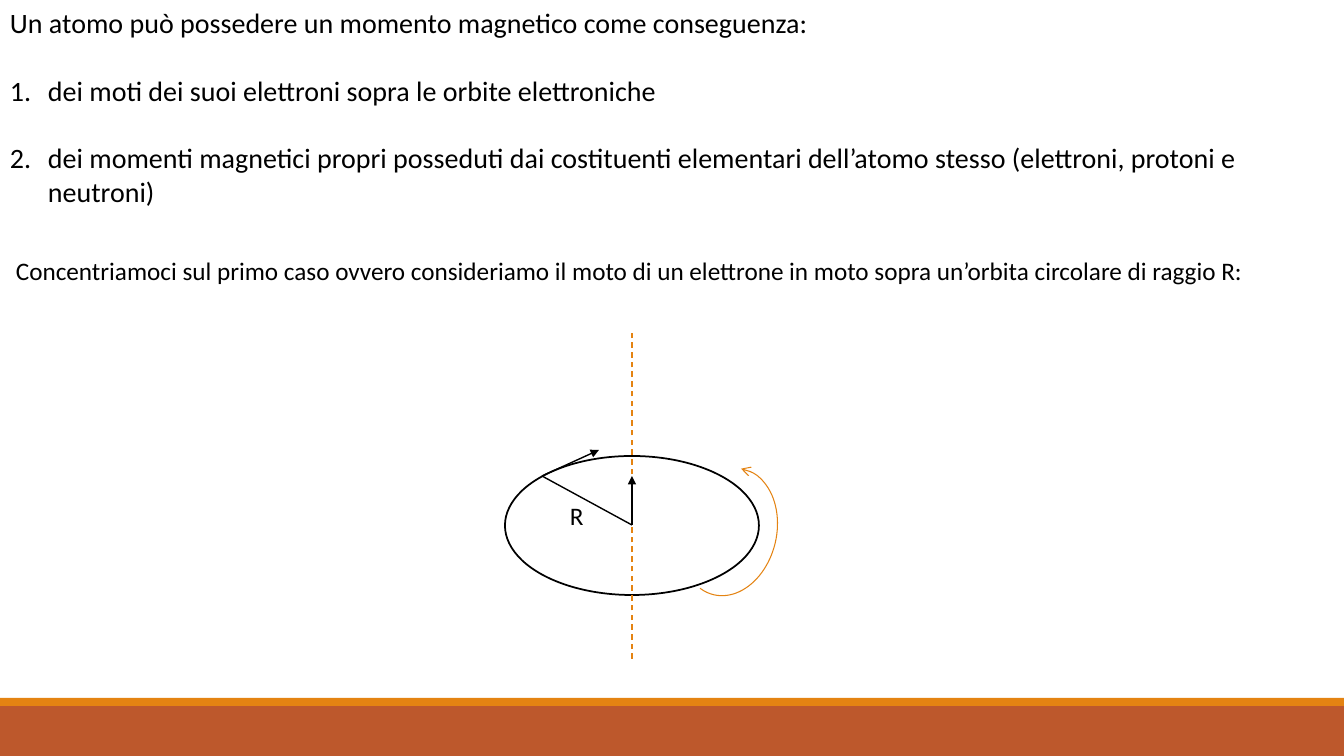
from dataclasses import dataclass

from lxml.etree import SubElement
from pptx import Presentation
from pptx.dml.color import RGBColor
from pptx.enum.dml import MSO_LINE
from pptx.enum.shapes import MSO_CONNECTOR, MSO_SHAPE as Preset
from pptx.enum.text import MSO_AUTO_SIZE
from pptx.oxml.ns import qn
from pptx.shapes.autoshape import Shape
from pptx.shapes.shapetree import GroupShapes, SlideShapes
from pptx.text.text import _Paragraph as Paragraph
from pptx.util import Emu, Pt

EMU_PER_INCH = 914400
PX_PER_INCH = 100.8
BLACK = "000000"
ORANGE = "E48312"
RUST = "BD582C"


@dataclass(frozen=True)
class Bar:
    top: int
    height: int
    color: str


@dataclass(frozen=True)
class Line:
    start: tuple[int, int]
    end: tuple[int, int]
    color: str = BLACK
    dashed: bool = False
    arrow: bool = False


@dataclass(frozen=True)
class TextLine:
    text: str
    numbered: bool = False


@dataclass(frozen=True)
class TextBox:
    left: int
    top: int
    width: int
    height: int
    size: int
    lines: tuple[TextLine, ...]
    wrap: bool = False


CENTER = (632, 525)
ELECTRON = (542, 476)

BARS = (Bar(706, 50, RUST), Bar(698, 8, ORANGE))

LINES = (
    Line((632, 659), (632, 331), ORANGE, dashed=True),
    Line(CENTER, ELECTRON),
    Line(CENTER, (632, 476), arrow=True),
    Line(ELECTRON, (599, 450), arrow=True),
)

INTRO = TextBox(0, 1, 1316, 248, 20, (
    TextLine("Un atomo può possedere un momento magnetico come conseguenza:"),
    TextLine("dei moti dei suoi elettroni sopra le orbite elettroniche", True),
    TextLine("dei momenti magnetici propri posseduti dai costituenti elementari "
             "dell’atomo stesso (elettroni, protoni e neutroni)", True),
), wrap=True)

FOCUS = TextBox(6, 250, 1262, 40, 18, (
    TextLine("Concentriamoci sul primo caso ovvero consideriamo il moto di un "
             "elettrone in moto sopra un’orbita circolare di raggio R:"),
))

RADIUS_LABEL = TextBox(560, 495, 34, 40, 18, (TextLine("R"),))


def px(length: int) -> Emu:
    return Emu(round(length * EMU_PER_INCH / PX_PER_INCH))


def rgb(color: str) -> RGBColor:
    return RGBColor.from_string(color)


def add_bar(shapes: SlideShapes, bar: Bar, width: int) -> None:
    shape = shapes.add_shape(
        Preset.RECTANGLE, 0, px(bar.top), px(width), px(bar.height))
    shape.shadow.inherit = False
    shape.fill.solid()
    shape.fill.fore_color.rgb = rgb(bar.color)
    shape.line.fill.background()


def number_paragraph(para: Paragraph) -> None:
    properties = para._p.get_or_add_pPr()
    properties.set("marL", str(px(38)))
    properties.set("indent", str(px(-38)))
    SubElement(properties, qn("a:buFont"), typeface="+mj-lt")
    SubElement(properties, qn("a:buAutoNum"), type="arabicPeriod")


def add_text(shapes: SlideShapes | GroupShapes, spec: TextBox) -> None:
    box = shapes.add_textbox(
        px(spec.left), px(spec.top), px(spec.width), px(spec.height))
    frame = box.text_frame
    frame.word_wrap = spec.wrap
    frame.auto_size = MSO_AUTO_SIZE.SHAPE_TO_FIT_TEXT
    for index, line in enumerate(spec.lines):
        para = frame.add_paragraph() if index else frame.paragraphs[0]
        if line.numbered:
            number_paragraph(para)
        if index:
            para.space_before = Pt(spec.size * 1.2)
        span = para.add_run()
        span.text = line.text
        span.font.name = "Calibri"
        span.font.size = Pt(spec.size)
        span.font.color.rgb = rgb(BLACK)


def add_line(shapes: GroupShapes, spec: Line) -> None:
    connector = shapes.add_connector(
        MSO_CONNECTOR.STRAIGHT, *map(px, spec.start + spec.end))
    connector.line.color.rgb = rgb(spec.color)
    connector.line.width = Pt(1)
    if spec.dashed:
        connector.line.dash_style = MSO_LINE.DASH
    if spec.arrow:
        SubElement(connector.line._get_or_add_ln(), qn("a:tailEnd"),
                   type="triangle")
    SubElement(connector._element.spPr, qn("a:effectLst"))


def add_outline(shapes: GroupShapes, preset: Preset, left: int, top: int,
                width: int, height: int, color: str, weight: float) -> Shape:
    shape = shapes.add_shape(preset, px(left), px(top), px(width), px(height))
    shape.shadow.inherit = False
    shape.fill.background()
    shape.line.color.rgb = rgb(color)
    shape.line.width = Pt(weight)
    return shape


def add_rotation_arrow(shapes: GroupShapes) -> None:
    arc = add_outline(shapes, Preset.ARC, 664, 484, 129, 96, ORANGE, 0.75)
    for index, degrees in enumerate((166.52, 2.1)):
        arc.adjustments[index] = degrees * 0.6
    arc.rotation = 283.3
    arc._element.spPr.get_or_add_xfrm().set("flipV", "1")
    SubElement(arc.line._get_or_add_ln(), qn("a:tailEnd"), type="arrow")


def add_orbit(shapes: GroupShapes) -> None:
    add_outline(shapes, Preset.OVAL, 505, 456, 254, 139, BLACK, 1.25)
    for line in LINES:
        add_line(shapes, line)
    add_text(shapes, RADIUS_LABEL)
    add_rotation_arrow(shapes)


def main() -> None:
    deck = Presentation()
    deck.slide_width, deck.slide_height = px(1344), px(756)
    page = deck.slides.add_slide(deck.slide_layouts.get_by_name("Blank"))
    for bar in BARS:
        add_bar(page.shapes, bar, 1344)
    for text_box in (INTRO, FOCUS):
        add_text(page.shapes, text_box)
    add_orbit(page.shapes.add_group_shape().shapes)
    deck.save("out.pptx")


if __name__ == "__main__":
    main()
